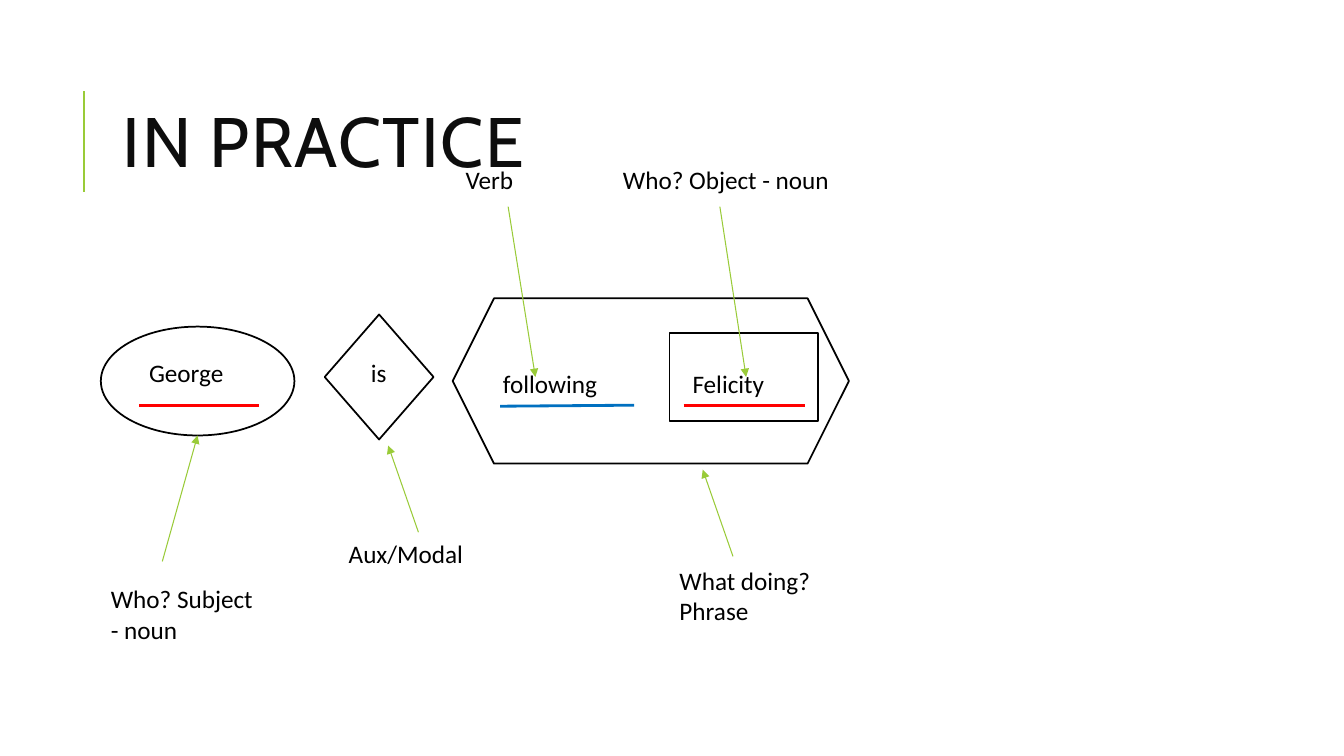
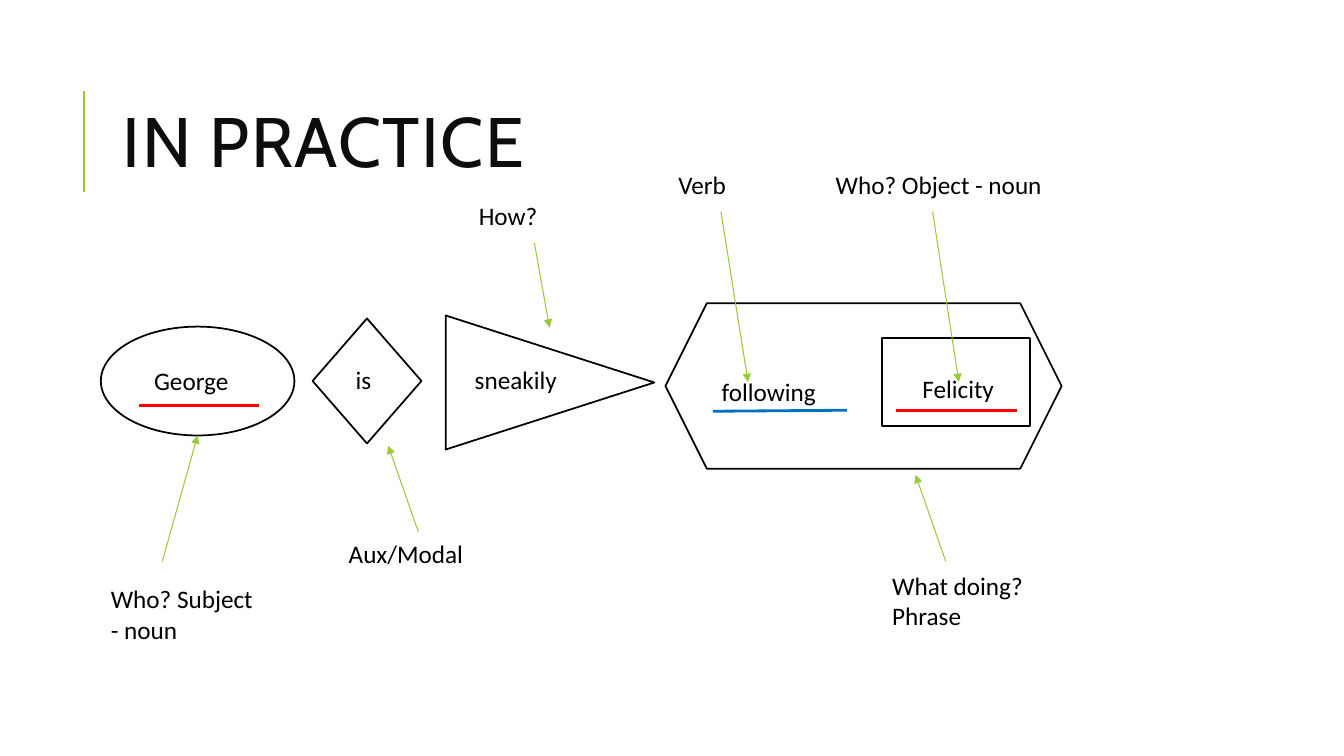
from lxml import etree
from pptx import Presentation
from pptx.dml.color import RGBColor
from pptx.enum import shapes, text
from pptx.oxml import ns
from pptx.util import Inches, Pt

COLORS = {"ink": "000000", "title": "0D0D0D", "accent": "99CB38",
          "noun": "FF0000", "verb": "0070C0"}
FORMS = shapes.MSO_SHAPE


def write(page, words, left, top, width, height, size=18, font="Calibri",
          color="ink", anchor=text.MSO_ANCHOR.TOP, line_spacing=None, tracking=None):
    box = page.shapes.add_textbox(Inches(left), Inches(top), Inches(width), Inches(height))
    frame = box.text_frame
    frame.word_wrap = True
    frame.vertical_anchor = anchor
    para = frame.paragraphs[0]
    para.line_spacing = line_spacing
    span = para.add_run()
    span.text = words
    span.font.size = Pt(size)
    span.font.name = font
    span.font.color.rgb = RGBColor.from_string(COLORS[color])
    if tracking:
        span.font._element.set("spc", str(tracking * 100))


def draw_line(page, x1, y1, x2, y2, color="accent", weight=0.75, arrow=False):
    line = page.shapes.add_connector(shapes.MSO_CONNECTOR.STRAIGHT,
                                     Inches(x1), Inches(y1), Inches(x2), Inches(y2))
    line.line.color.rgb = RGBColor.from_string(COLORS[color])
    line.line.width = Pt(weight)
    if arrow:
        etree.SubElement(line.line._get_or_add_ln(), ns.qn("a:tailEnd"), type="triangle")
    etree.SubElement(line._element.spPr, ns.qn("a:effectLst"))


deck = Presentation()
deck.slide_width = Inches(13.33)
deck.slide_height = Inches(7.5)

sentences = [
    {"shift": (0, 0), "diamond": (3.22, 3.12), "adverb": False,
     "words": [("George", 1.38, 3.5, 1.19), ("is", 3.58, 3.5, 0.42),
               ("following", 4.89, 3.6, 1.42), ("Felicity", 6.77, 3.61, 1.42)]},
    {"shift": (2.11, 0.05), "diamond": (3.1, 3.16), "adverb": True,
     "words": [("George", 1.43, 3.58, 1.19), ("is", 3.43, 3.57, 0.42),
               ("sneakily", 4.61, 3.57, 1.19),
               ("following", 7.06, 3.68, 1.42), ("Felicity", 9.05, 3.65, 1.42)]},
]

for sentence in sentences:
    page = deck.slides.add_slide(deck.slide_layouts[6])
    dx, dy = sentence["shift"]

    draw_line(page, 0.83, 1.9, 0.83, 0.9, weight=1.5)
    write(page, "IN PRACTICE", 1.12, 0.64, 10.63, 1.64, size=50, font="Cabin",
          color="title", anchor=text.MSO_ANCHOR.MIDDLE, line_spacing=0.8, tracking=1)

    outlines = [
        (FORMS.RECTANGLE, 6.64 + dx, 3.3 + dy, 1.47, 0.88, 0),
        (FORMS.OVAL, 1, 3.24, 1.92, 1.08, 0),
        (FORMS.DIAMOND, *sentence["diamond"], 1.08, 1.24, 0),
        (FORMS.HEXAGON, 4.49 + dx, 2.96 + dy, 3.93, 1.64, 0),
    ]
    arrows = [
        (1.61, 5.57, 1.96, 4.32),
        (4.15, 5.28, 3.85, 4.42),
        (7.27 + dx, 5.52 + dy, 6.97 + dx, 4.66 + dy),
        (5.04 + dx, 2.05 + dy, 5.31 + dx, 3.74 + dy),
        (7.14 + dx, 2.05 + dy, 7.4 + dx, 3.74 + dy),
    ]
    labels = [
        ("Who? Subject - noun", 1, 5.74, 1.68, 0.71),
        ("Aux/Modal", 3.36, 5.29, 1.68, 0.4),
        ("What doing? Phrase", 6.64 + dx, 5.56 + dy, 1.68, 0.71),
        ("Verb", 4.52 + dx, 1.58 + dy, 0.78, 0.4),
        ("Who? Object - noun", 6.08 + dx, 1.58 + dy, 2.33, 0.4),
    ]
    if sentence["adverb"]:
        outlines.append((FORMS.ISOSCELES_TRIANGLE, 4.79, 2.76, 1.33, 2.07, 90))
        arrows.append((5.3, 2.41, 5.45, 3.25))
        labels.append(("How?", 4.65, 1.94, 0.78, 0.4))

    for form, left, top, width, height, rotation in outlines:
        outline = page.shapes.add_shape(form, Inches(left), Inches(top),
                                        Inches(width), Inches(height))
        outline.shadow.inherit = False
        outline.rotation = rotation
        outline.fill.background()
        outline.line.color.rgb = RGBColor.from_string(COLORS["ink"])
        outline.line.width = Pt(1.25)

    draw_line(page, 1.38, 4.02, 2.57, 4.02, color="noun", weight=2)
    draw_line(page, 4.96 + dx, 4.03 + dy, 6.29 + dx, 4.02 + dy, color="verb", weight=2)
    draw_line(page, 6.78 + dx, 4.02 + dy, 7.98 + dx, 4.02 + dy, color="noun", weight=2)

    for ends in arrows:
        draw_line(page, *ends, arrow=True)
    for label in labels:
        write(page, *label)
    for word in sentence["words"]:
        write(page, *word, 0.4)

deck.save("out.pptx")
